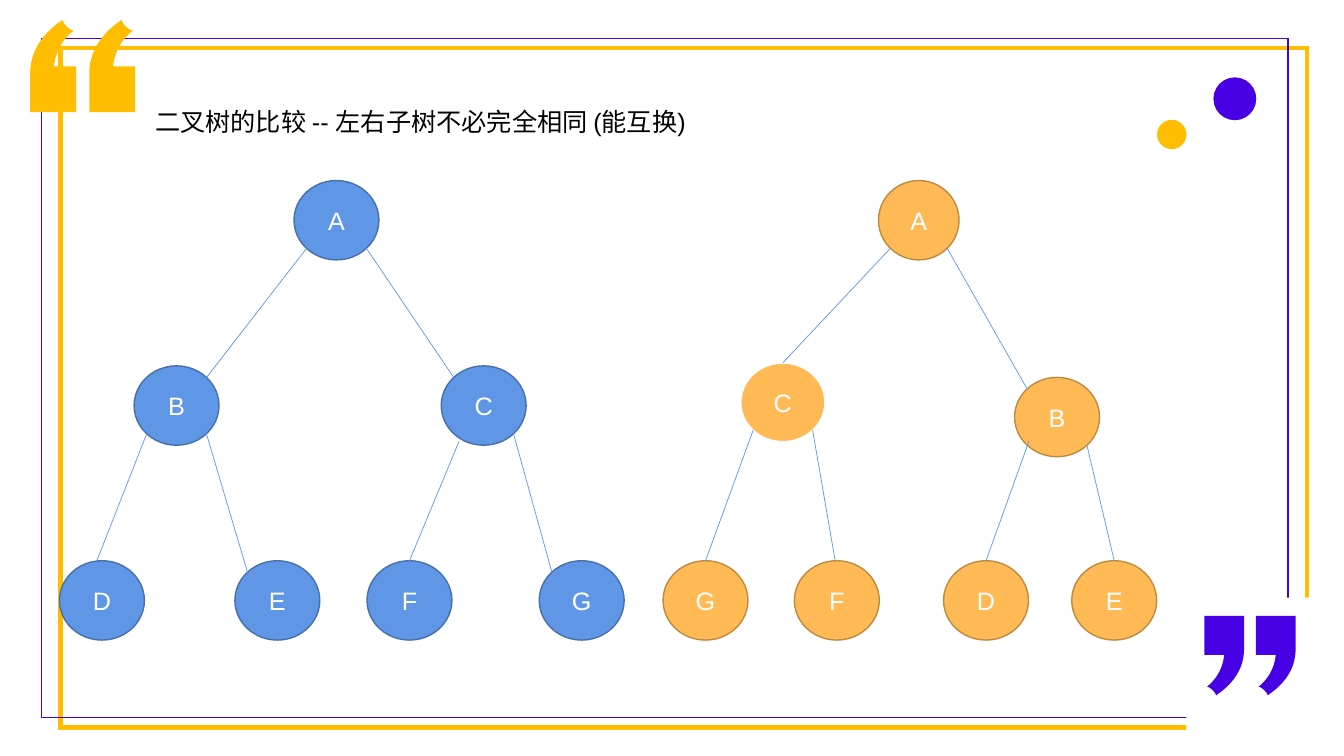
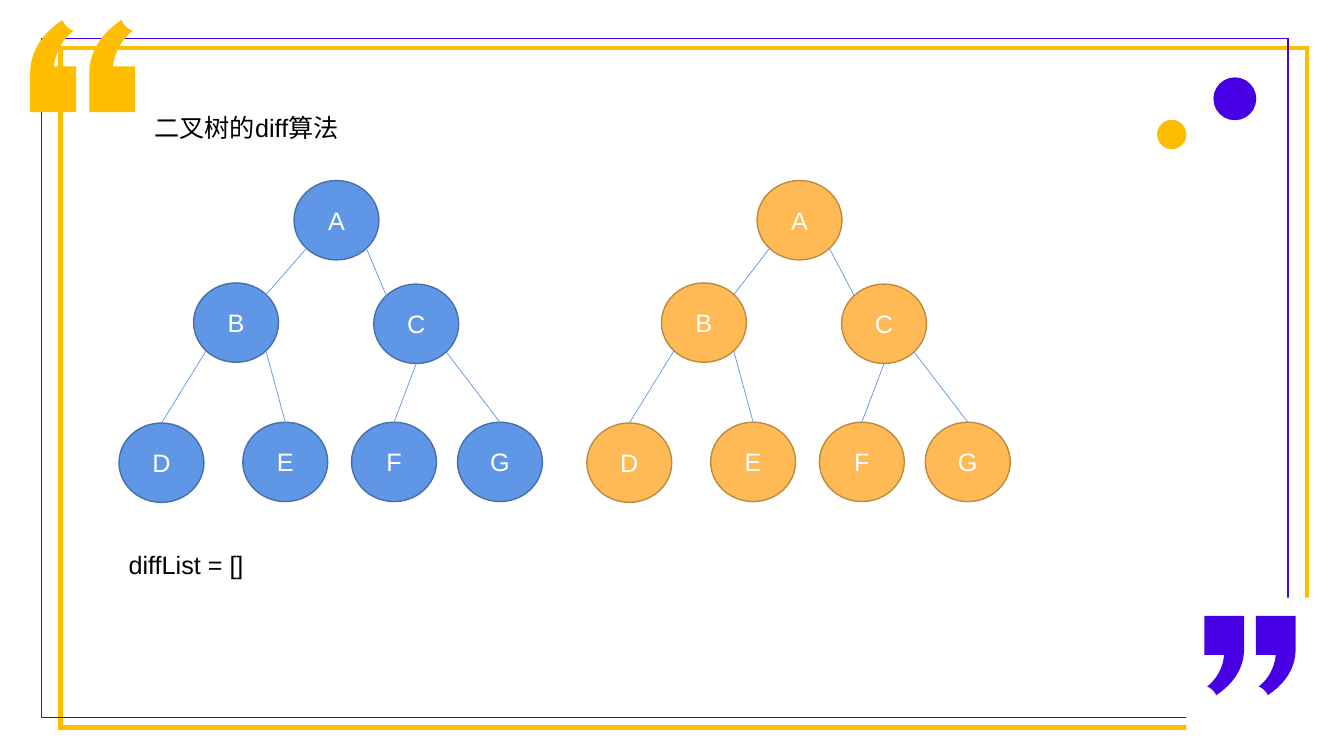
from dataclasses import dataclass

from lxml import etree
from pptx import Presentation
from pptx.dml.color import RGBColor
from pptx.enum.shapes import MSO_CONNECTOR, MSO_SHAPE
from pptx.enum.text import MSO_ANCHOR, MSO_AUTO_SIZE, PP_ALIGN
from pptx.oxml.ns import qn
from pptx.util import Cm, Pt

RECTANGLE, OVAL = MSO_SHAPE.RECTANGLE, MSO_SHAPE.OVAL
STRAIGHT = MSO_CONNECTOR.STRAIGHT
MIDDLE, TOP_ANCHOR = MSO_ANCHOR.MIDDLE, MSO_ANCHOR.TOP
CENTER, LEFT = PP_ALIGN.CENTER, PP_ALIGN.LEFT
GROW = MSO_AUTO_SIZE.SHAPE_TO_FIT_TEXT


@dataclass(frozen=True)
class Theme:
    yellow: str = "FFBD00"
    violet: str = "4700E4"
    white: str = "FFFFFF"
    black: str = "000000"
    blue: str = "6096E6"
    blue_edge: str = "476FAA"
    orange: str = "FFBA55"
    orange_edge: str = "BD8A3F"
    font: str = "Arial"
    text_size: int = 18
    branch_width: float = 0.5


THEME = Theme()
NODE_FORMAT = {"vertical_anchor": MIDDLE, "word_wrap": True}
LABEL_FORMAT = {"vertical_anchor": TOP_ANCHOR, "word_wrap": True, "auto_size": GROW}


def paint(shape, fill=None, edge=None, width=1):
    """Set fill and sharp-cornered outline; None leaves either of them out."""
    shape.shadow.inherit = False
    if fill:
        shape.fill.solid()
        shape.fill.fore_color.rgb = RGBColor.from_string(fill)
    else:
        shape.fill.background()
    if edge:
        shape.line.color.rgb = RGBColor.from_string(edge)
        shape.line.width = Pt(width)
        outline = shape.element.spPr.find(qn("a:ln"))
        etree.SubElement(outline, qn("a:miter"), lim="800000")
    else:
        shape.line.fill.background()


def write(shape, text, color, alignment, frame_format):
    for name, value in frame_format.items():
        setattr(shape.text_frame, name, value)
    paragraph = shape.text_frame.paragraphs[0]
    paragraph.alignment = alignment
    run = paragraph.add_run()
    run.text = text
    run.font.name = THEME.font
    run.font.size = Pt(THEME.text_size)
    run.font.color.rgb = RGBColor.from_string(color)


# Quotation mark in a unit square: single points are corners, triples are Bézier curves
QUOTE_START = (0.7, 0)
QUOTE_SEGMENTS = [
    [(0.73, 0.03)],
    [(0.77, 0.06), (0.82, 0.08), (0.88, 0.1)],
    [(0.93, 0.11)],
    [(0.93, 0.11), (0.55, 0.24), (0.5, 0.51)],
    [(1, 0.51)],
    [(1, 1)],
    [(0, 1)],
    [(0, 0.56)],
    [(0.02, 0.19), (0.7, 0.01), QUOTE_START],
]
quote_points = [QUOTE_START] + [point for segment in QUOTE_SEGMENTS for point in segment]

# Lefts of the two marks, top, width, height, rotation, fill, edge
QUOTES = [
    ((0.78, 2.27), 0.53, 1.12, 2.28, 0, THEME.yellow, THEME.yellow),
    ((31.65, 30.35), 15.52, 1, 2, 180, THEME.violet, None),
]
# Kind, left, top, width, height, fill, edge, edge width
FRAME = [
    (RECTANGLE, 1.52, 1.21, 31.42, 17.12, None, THEME.yellow, 3.25),
    (RECTANGLE, 1.04, 0.97, 31.42, 17.11, None, THEME.violet, 1),
    (RECTANGLE, 29.9, 15.06, 3.4, 3.68, THEME.white, None, 0),
]
DOTS = [
    (OVAL, 29.16, 3.02, 0.74, 0.74, THEME.yellow, None, 0),
    (OVAL, 30.58, 1.95, 1.08, 1.08, THEME.violet, None, 0),
]

# Points on a node as shares of its width and height
TOP, BOTTOM = (0.5, 0), (0.5, 1)
TL, TR, BL, BR = (0.15, 0.15), (0.85, 0.15), (0.15, 0.85), (0.85, 0.85)

NODE_WIDTH, NODE_HEIGHT = 2.14, 2
ROOT_TOP = 4.55
LEAF_TOP, COMPACT_LEAF_TOP = 14.13, 10.64
TREE_SHIFT = 11.79
BLUE = (THEME.blue, THEME.blue_edge, 1)
ORANGE = (THEME.orange, THEME.orange_edge, 1)
ORANGE_WHITE_RING = (THEME.orange, THEME.white, 1.5)

compact_tree = {
    "B": (4.88, 7.13), "C": (9.42, 7.16),
    "D": (3, 10.66), "E": (6.12, COMPACT_LEAF_TOP),
    "F": (8.86, COMPACT_LEAF_TOP), "G": (11.53, COMPACT_LEAF_TOP),
}
shifted_tree = {letter: (x + TREE_SHIFT, y) for letter, (x, y) in compact_tree.items()}
compact_branches = [
    ("A", BL, "B", TR), ("A", BR, "C", TL), ("B", BL, "D", TOP),
    ("B", BR, "E", TOP), ("C", BOTTOM, "F", TOP), ("C", BR, "G", TOP),
]

SLIDES = [
    {
        "labels": [("二叉树的比较 -- 左右子树不必完全相同 (能互换)", 3.66, 2.56, 25.2)],
        "trees": [
            {
                "style": BLUE,
                "nodes": {
                    "A": (7.41, ROOT_TOP), "B": (3.38, 9.22), "C": (11.12, 9.22),
                    "D": (1.5, LEAF_TOP), "E": (5.92, LEAF_TOP),
                    "F": (9.25, LEAF_TOP), "G": (13.59, LEAF_TOP),
                },
                "branches": [
                    ("A", BL, "B", TR), ("A", BR, "C", TL),
                    ("B", BL, "D", (0.44, 0)), ("B", BR, "E", TL),
                    ("C", (0.21, 0.95), "F", TOP), ("C", BR, "G", TL),
                ],
            },
            {
                "style": ORANGE,
                "special_styles": {"C": ORANGE_WHITE_RING},
                "special_widths": {"A": 2.03},
                "nodes": {
                    "A": (22.14, ROOT_TOP), "B": (25.57, 9.51), "C": (18.66, 9.14),
                    "D": (23.78, LEAF_TOP), "E": (27.01, LEAF_TOP),
                    "F": (20.02, LEAF_TOP), "G": (16.71, LEAF_TOP),
                },
                "branches": [
                    ("A", BL, "C", TOP), ("A", BR, "B", TL),
                    ("C", BL, "G", TOP), ("C", BR, "F", (0.48, 0)),
                    ("B", (0.17, 0.8), "D", TOP), ("B", BR, "E", TOP),
                ],
            },
        ],
    },
    {
        "labels": [
            ("二叉树的diff算法", 3.64, 2.71, 25.2),
            ("diffList = []", 2.99, 13.72, 23),
        ],
        "trees": [
            {"style": BLUE, "nodes": {"A": (7.41, ROOT_TOP), **compact_tree},
             "branches": compact_branches},
            {"style": ORANGE, "nodes": {"A": (19.08, ROOT_TOP), **shifted_tree},
             "branches": compact_branches},
        ],
    },
]

presentation = Presentation()
presentation.slide_width, presentation.slide_height = Cm(33.87), Cm(19.05)
blank_layout = presentation.slide_layouts[6]

for content in SLIDES:
    shapes = presentation.slides.add_slide(blank_layout).shapes

    for kind, x, y, width, height, *style in FRAME:
        paint(shapes.add_shape(kind, Cm(x), Cm(y), Cm(width), Cm(height)), *style)

    for lefts, top, width, height, rotation, fill, edge in QUOTES:
        quote_pair = shapes.add_group_shape()
        for left in lefts:
            points = [(Cm(left + x * width), Cm(top + y * height)) for x, y in quote_points]
            builder = quote_pair.shapes.build_freeform(*points[0])
            builder.add_line_segments(points[1:], close=True)
            mark = builder.convert_to_shape()
            mark.rotation = rotation
            paint(mark, fill, edge)
            # Merge the three steps of each curve into one Bézier segment
            steps = iter(list(mark.element.iter(qn("a:lnTo"))))
            for segment in QUOTE_SEGMENTS:
                segment_steps = [next(steps) for _ in segment]
                if len(segment_steps) == 3:
                    curve = etree.Element(qn("a:cubicBezTo"))
                    segment_steps[0].addprevious(curve)
                    for step in segment_steps:
                        curve.append(step[0])
                        step.getparent().remove(step)

    for kind, x, y, width, height, *style in DOTS:
        paint(shapes.add_shape(kind, Cm(x), Cm(y), Cm(width), Cm(height)), *style)

    for text, x, y, width in content["labels"]:
        label = shapes.add_textbox(Cm(x), Cm(y), Cm(width), Cm(1.02))
        write(label, text, THEME.black, LEFT, LABEL_FORMAT)

    for tree in content["trees"]:
        nodes = {}
        for letter, (x, y) in tree["nodes"].items():
            width = tree.get("special_widths", {}).get(letter, NODE_WIDTH)
            node = shapes.add_shape(OVAL, Cm(x), Cm(y), Cm(width), Cm(NODE_HEIGHT))
            paint(node, *tree.get("special_styles", {}).get(letter, tree["style"]))
            write(node, letter, THEME.white, CENTER, NODE_FORMAT)
            nodes[letter] = node

        for parent, start, child, end in tree["branches"]:
            ends = []
            for node, (across, down) in ((nodes[parent], start), (nodes[child], end)):
                ends += [int(node.left + across * node.width),
                         int(node.top + down * node.height)]
            branch = shapes.add_connector(STRAIGHT, *ends)
            if end == TOP:
                branch.end_connect(nodes[child], 0)
            branch.line.color.rgb = RGBColor.from_string(THEME.blue)
            branch.line.width = Pt(THEME.branch_width)
            etree.SubElement(branch.element.spPr, qn("a:effectLst"))

presentation.save("out.pptx")
